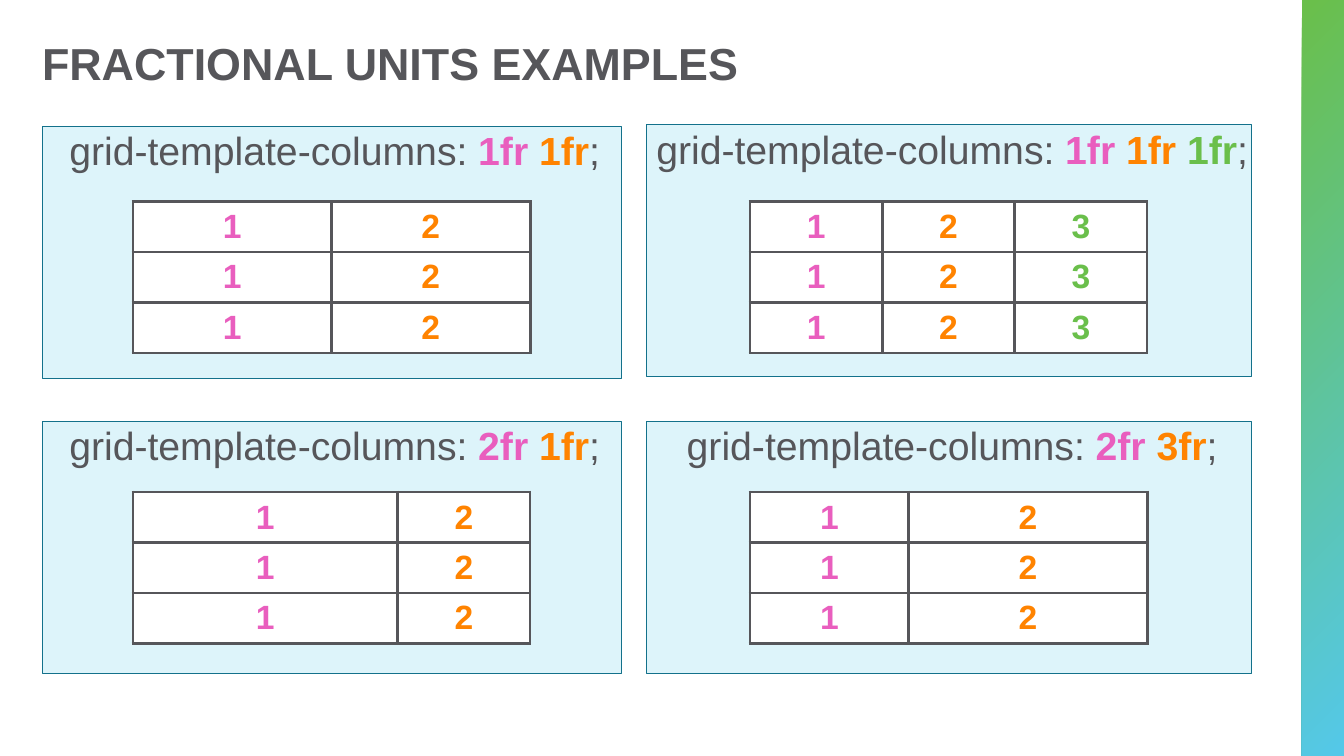
from lxml import etree
from pptx import Presentation
from pptx.dml.color import RGBColor
from pptx.enum.shapes import MSO_SHAPE
from pptx.enum.text import MSO_ANCHOR, PP_ALIGN
from pptx.oxml.ns import qn
from pptx.util import Cm, Pt

RECTANGLE = MSO_SHAPE.RECTANGLE
TOP, MIDDLE = MSO_ANCHOR.TOP, MSO_ANCHOR.MIDDLE
LEFT, CENTER = PP_ALIGN.LEFT, PP_ALIGN.CENTER

FONT = "Arial"
GREY, WHITE = "56565A", "FFFFFF"
PANEL_FILL, PANEL_LINE = "DDF4FA", "13718B"
GREEN, SKY = "6ABF4B", "54C8E8"
COLUMN_COLOURS = ["E95EBE", "FF8300", GREEN]

TABLE_WIDTH, ROW_HEIGHT, ROW_COUNT = 10.01, 1.27, 3
PANEL_HEIGHT = 6.35

# Panel left, top and width, table left and top (cm), column fractions
EXAMPLES = [
    (1.06, 3.18, 14.6, 3.35, 5.08, [1, 1]),
    (1.06, 10.62, 14.6, 3.35, 12.4, [2, 1]),
    (16.3, 3.15, 15.24, 18.9, 5.08, [1, 1, 1]),
    (16.3, 10.62, 15.24, 18.9, 12.4, [2, 3]),
]


def colour(value):
    return RGBColor.from_string(value)


def add_span(para, text, size=28, color=GREY, bold=False):
    span = para.add_run()
    span.text = text
    span.font.name = FONT
    span.font.size = Pt(size)
    span.font.bold = bold
    span.font.color.rgb = colour(color)


def prepare_frame(frame, anchor):
    frame.word_wrap = True
    frame.vertical_anchor = anchor
    frame.margin_left = frame.margin_right = 0
    frame.margin_top = frame.margin_bottom = 0


def add_box(page, left, top, width, height):
    box = page.shapes.add_shape(
        RECTANGLE, Cm(left), Cm(top), Cm(width), Cm(height))
    box.shadow.inherit = False
    return box


def add_side_band(page):
    band = add_box(page, 32.81, 0, 1.06, 19.05)
    band.line.fill.background()
    band.fill.gradient()
    band.fill.gradient_angle = 315
    stops = zip(band.fill.gradient_stops, [0.01, 0.99], [GREEN, SKY])
    for stop, position, color in stops:
        stop.position = position
        stop.color.rgb = colour(color)


def add_title(page, text):
    box = page.shapes.add_textbox(Cm(1.06), Cm(0.64), Cm(31.75), Cm(1.9))
    prepare_frame(box.text_frame, MIDDLE)
    box.text_frame.margin_top = Cm(0.13)
    para = box.text_frame.paragraphs[0]
    para.alignment = LEFT
    para.line_spacing = 0.9
    add_span(para, text, size=32, bold=True)


def add_panel(page, left, top, width, fractions):
    panel = add_box(page, left, top, width, PANEL_HEIGHT)
    panel.fill.solid()
    panel.fill.fore_color.rgb = colour(PANEL_FILL)
    panel.line.color.rgb = colour(PANEL_LINE)
    panel.line.width = Pt(0.75)
    prepare_frame(panel.text_frame, TOP)

    # CSS declaration, each fraction in the colour of its column
    para = panel.text_frame.paragraphs[0]
    para.alignment = CENTER
    para.space_after = Pt(12)
    para._p.get_or_add_pPr().set("marL", str(Cm(0.15)))
    add_span(para, "grid-template-columns: ")
    for index, fraction in enumerate(fractions):
        gap = " " if index < len(fractions) - 1 else ""
        add_span(para, f"{fraction}fr{gap}",
                 color=COLUMN_COLOURS[index], bold=True)
    add_span(para, ";")


def add_borders(cell):
    properties = cell._tc.get_or_add_tcPr()
    for side in ("a:lnL", "a:lnR", "a:lnT", "a:lnB"):
        line = etree.SubElement(properties, qn(side), w=str(Pt(2.25)))
        fill = etree.SubElement(line, qn("a:solidFill"))
        etree.SubElement(fill, qn("a:srgbClr"), val=GREY)


def fill_cell(cell, text, color):
    add_borders(cell)
    cell.fill.solid()
    cell.fill.fore_color.rgb = colour(WHITE)
    cell.vertical_anchor = MIDDLE
    para = cell.text_frame.paragraphs[0]
    para.alignment = CENTER
    add_span(para, text, size=24, color=color, bold=True)


def add_grid(page, left, top, fractions):
    table = page.shapes.add_table(
        ROW_COUNT, len(fractions), Cm(left), Cm(top),
        Cm(TABLE_WIDTH), Cm(ROW_HEIGHT * ROW_COUNT)).table
    table.first_row = table.horz_banding = False
    for row in table.rows:
        row.height = Cm(ROW_HEIGHT)
    for index, fraction in enumerate(fractions):
        table.columns[index].width = Cm(
            TABLE_WIDTH * fraction / sum(fractions))
        for row in range(ROW_COUNT):
            fill_cell(table.cell(row, index), str(index + 1),
                      COLUMN_COLOURS[index])


def main():
    deck = Presentation()
    deck.slide_width, deck.slide_height = Cm(33.87), Cm(19.05)
    page = deck.slides.add_slide(deck.slide_layouts[6])

    add_side_band(page)
    add_title(page, "FRACTIONAL UNITS EXAMPLES")
    for left, top, width, grid_left, grid_top, fractions in EXAMPLES:
        add_panel(page, left, top, width, fractions)
        add_grid(page, grid_left, grid_top, fractions)

    deck.save("out.pptx")


if __name__ == "__main__":
    main()
